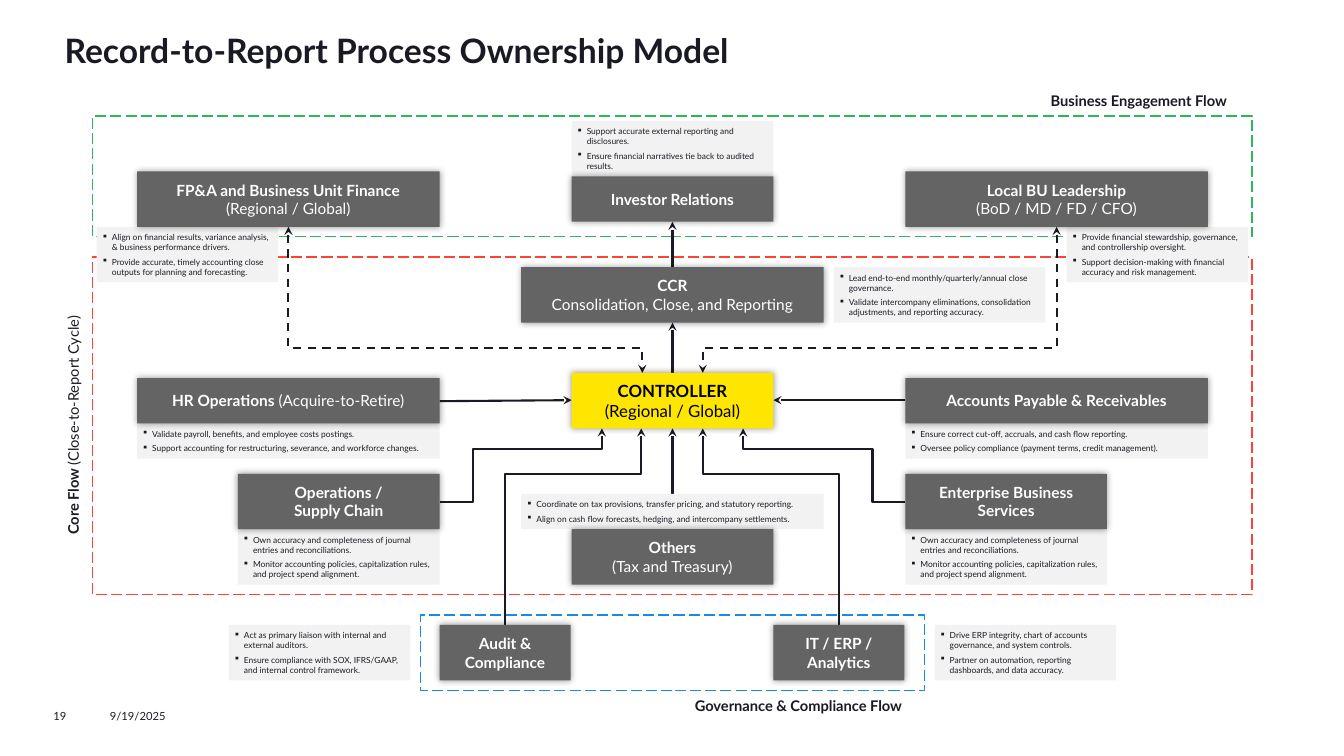
"""Build the record-to-report process ownership slide."""
from math import cos, radians, sin

from lxml.etree import SubElement
from pptx import Presentation
from pptx.dml.color import RGBColor
from pptx.enum.dml import MSO_LINE
from pptx.enum.shapes import MSO_CONNECTOR, MSO_SHAPE
from pptx.enum.text import MSO_ANCHOR, PP_ALIGN
from pptx.oxml.ns import qn
from pptx.util import Inches, Pt

FONT = "Lato"
COLORS = {
    "ink": "1A1A24", "black": "000000", "white": "FFFFFF", "role": "646464",
    "hub": "FFE600", "note": "F2F2F2", "core": "FF4136", "business": "2DB757",
    "governance": "188CE5",
}
LEFT, RIGHT, CENTER = 1.36, 8.98, 5.67
AXIS = 6.67

FRAMES = [
    ("core", (0.92, 2.55, 11.5, 3.35)),
    ("business", (0.92, 1.15, 11.5, 1.2)),
    ("governance", (4.17, 6.1, 5, 0.75)),
]
STRAIGHT_ARROWS = [
    ((AXIS, 2.65), (AXIS, 2.2)),
    ((AXIS, 3.7), (AXIS, 3.2)),
    ((AXIS, 5.25), (AXIS, 4.25)),
    ((RIGHT, 3.97), (7.67, 3.97)),
    ((4.36, 3.98), (CENTER, 3.97)),
]
TWO_WAY_ARROWS = [
    ((2.86, 2.25), (6.37, 3.7), 270, [0.828]),
    ((10.48, 2.25), (6.97, 3.7), 90, [0.828]),
]
BENT_ARROWS = [
    ((4.36, 4.98), (5.97, 4.25), 0, [0.204, 0.719]),
    ((RIGHT, 4.98), (7.37, 4.25), 180, [0.203, 0.719]),
    ((8.32, 6.2), (6.97, 4.25), 270, [0.769]),
    ((5.01, 6.2), (6.36, 4.25), 90, [0.769]),
]
JOURNAL_DUTIES = [
    "Own accuracy and completeness of journal entries and reconciliations.",
    "Monitor accounting policies, capitalization rules, and project spend alignment.",
]
NOTES = [
    ((CENTER, 1.2, 2, 0.55), [
        "Support accurate external reporting and disclosures.",
        "Ensure financial narratives tie back to audited results."]),
    ((10.58, 2.25, 1.8, 0.55), [
        "Provide financial stewardship, governance, and controllership oversight.",
        "Support decision-making with financial accuracy and risk management."]),
    ((0.96, 2.25, 1.8, 0.55), [
        "Align on financial results, variance analysis, & business performance drivers.",
        "Provide accurate, timely accounting close outputs for planning and forecasting."]),
    ((LEFT, 4.2, 3, 0.35), [
        "Validate payroll, benefits, and employee costs postings.",
        "Support accounting for restructuring, severance, and workforce changes."]),
    ((RIGHT, 4.2, 3, 0.35), [
        "Ensure correct cut-off, accruals, and cash flow reporting.",
        "Oversee policy compliance (payment terms, credit management)."]),
    ((RIGHT, 5.25, 2, 0.55), JOURNAL_DUTIES),
    ((LEFT + 1, 5.25, 2, 0.55), JOURNAL_DUTIES),
    ((2.27, 6.2, 1.8, 0.55), [
        "Act as primary liaison with internal and external auditors.",
        "Ensure compliance with SOX, IFRS/GAAP, and internal control framework."]),
    ((9.27, 6.2, 1.8, 0.55), [
        "Drive ERP integrity, chart of accounts governance, and system controls.",
        "Partner on automation, reporting dashboards, and data accuracy."]),
    ((8.27, 2.65, 2.1, 0.55), [
        "Lead end-to-end monthly/quarterly/annual close governance.",
        "Validate intercompany eliminations, consolidation adjustments, and reporting accuracy."]),
    ((5.17, 4.9, 3, 0.35), [
        "Coordinate on tax provisions, transfer pricing, and statutory reporting.",
        "Align on cash flow forecasts, hedging, and intercompany settlements."]),
]
ROLES = [
    ((RIGHT, 3.75, 3, 0.45), [[("Accounts Payable & Receivables", True)]]),
    ((LEFT, 3.75, 3, 0.45), [[("HR Operations ", True), ("(Acquire-to-Retire)", False)]]),
    ((CENTER, 5.25, 2, 0.55), [[("Others", True)], [("(Tax and Treasury)", False)]]),
    ((RIGHT, 4.7, 2, 0.55), [[("Enterprise Business Services", True)]]),
    ((LEFT + 1, 4.7, 2, 0.55), [[("Operations /", True)], [("Supply Chain", True)]]),
    ((CENTER, 1.75, 2, 0.45), [[("Investor Relations", True)]]),
    ((LEFT, 1.7, 3, 0.55), [[("FP&A and Business Unit Finance", True)],
                            [("(Regional / Global)", False)]]),
    ((RIGHT, 1.7, 3, 0.55), [[("Local BU Leadership", True)],
                             [("(BoD / MD / FD / CFO)", False)]]),
    ((5.17, 2.65, 3, 0.55), [[("CCR", True)],
                             [("Consolidation, Close, and Reporting", False)]]),
    ((4.36, 6.2, 1.3, 0.55), [[("Audit & Compliance", True)]]),
    ((7.67, 6.2, 1.3, 0.55), [[("IT / ERP / Analytics", True)]]),
]
CONTROLLER = [[("CONTROLLER", True)], [("(Regional / Global)", False)]]
FLOW_LABELS = [
    ((-0.95, 4.02, 3.35, 0.4), 270,
     [("Core Flow ", True), ("(Close-to-Report Cycle)", False)]),
    ((10.17, 0.85, 2.25, 0.3), 0, [("Business Engagement Flow", True)]),
    ((AXIS, 6.85, 2.5, 0.3), 0, [("Governance & Compliance Flow", True)]),
]


def rgb(color):
    """Look up a named colour."""
    return RGBColor.from_string(COLORS[color])


def place(box):
    """Turn a box in inches into lengths."""
    return [Inches(length) for length in box]


def set_insets(frame, left, top, right, bottom):
    """Set the text margins in inches."""
    frame.margin_left, frame.margin_top = Inches(left), Inches(top)
    frame.margin_right, frame.margin_bottom = Inches(right), Inches(bottom)


def write_line(paragraph, runs, size, color, align):
    """Fill a paragraph with (text, bold) runs."""
    paragraph.alignment = align
    for words, bold in runs:
        run = paragraph.add_run()
        run.text = words
        run.font.name, run.font.size, run.font.bold = FONT, Pt(size), bold
        run.font.color.rgb = rgb(color)


def write_lines(frame, lines, size, color, align=PP_ALIGN.CENTER, anchor=MSO_ANCHOR.MIDDLE):
    """Write one paragraph per line and return the paragraphs."""
    frame.word_wrap = True
    frame.vertical_anchor = anchor
    for index, runs in enumerate(lines):
        paragraph = frame.add_paragraph() if index else frame.paragraphs[0]
        write_line(paragraph, runs, size, color, align)
    return frame.paragraphs


def add_panel(slide, box, fill=None, outline=None):
    """Add a rectangle, either filled or with a dashed outline."""
    panel = slide.shapes.add_shape(MSO_SHAPE.RECTANGLE, *place(box))
    panel.shadow.inherit = False
    if fill:
        panel.fill.solid()
        panel.fill.fore_color.rgb = rgb(fill)
        panel.line.fill.background()
    else:
        panel.fill.background()
        panel.line.color.rgb = rgb(outline)
        panel.line.width = Pt(1)
        panel.line.dash_style = MSO_LINE.LONG_DASH
    return panel


def add_role(slide, box, lines, fill="role", color="white", size=11):
    """Add a role box with a soft glow of shadow."""
    role = add_panel(slide, box, fill)
    effects = role._element.spPr.find(qn("a:effectLst"))
    shadow = SubElement(effects, qn("a:outerShdw"), blurRad=str(Pt(5)), dist="0",
                        algn="ctr", rotWithShape="0")
    shade = SubElement(shadow, qn("a:srgbClr"), val=COLORS["black"])
    SubElement(shade, qn("a:alpha"), val="40000")
    write_lines(role.text_frame, lines, size, color)


def add_note(slide, box, duties):
    """Add a pale panel of bulleted duties."""
    frame = add_panel(slide, box, "note").text_frame
    set_insets(frame, 0.05, 0.05, 0.05, 0.05)
    lines = [[(duty, False)] for duty in duties]
    for index, paragraph in enumerate(write_lines(frame, lines, 6, "ink", PP_ALIGN.LEFT)):
        properties = paragraph._p.get_or_add_pPr()
        properties.set("marL", str(Inches(0.1)))
        properties.set("indent", str(-Inches(0.1)))
        SubElement(properties, qn("a:buChar"), char="▪")
        if index:
            paragraph.space_before = Pt(3)


def add_label(slide, box, runs, size, turn=0, inset=0.05, align=PP_ALIGN.CENTER,
              anchor=MSO_ANCHOR.MIDDLE):
    """Add a free line of text."""
    label = slide.shapes.add_textbox(*place(box))
    label.rotation = turn
    set_insets(label.text_frame, inset, inset, inset, inset)
    write_lines(label.text_frame, [runs], size, "ink", align, anchor)


def add_arrow(slide, start, end, turn=0, bends=(), two_way=False):
    """Add an arrow; bends are elbow ratios in a frame turned by turn degrees."""
    mid_x, mid_y = (start[0] + end[0]) / 2, (start[1] + end[1]) / 2
    c, s = cos(radians(turn)), sin(radians(turn))
    ends = []
    for x, y in (start, end):
        dx, dy = x - mid_x, y - mid_y
        ends += [mid_x + dx * c + dy * s, mid_y - dx * s + dy * c]
    kind = MSO_CONNECTOR.ELBOW if bends else MSO_CONNECTOR.STRAIGHT
    arrow = slide.shapes.add_connector(kind, *place(ends))
    arrow.line.color.rgb = rgb("ink")
    arrow.line.width = Pt(1.5)
    properties = arrow._element.spPr
    if turn:
        properties.find(qn("a:xfrm")).set("rot", str(turn * 60000))
    if bends:
        geometry = properties.find(qn("a:prstGeom"))
        geometry.set("prst", f"bentConnector{len(bends) + 2}")
        guides = geometry.find(qn("a:avLst"))
        for index, ratio in enumerate(bends, 1):
            SubElement(guides, qn("a:gd"), name=f"adj{index}" if len(bends) > 1 else "adj1",
                       fmla=f"val {round(ratio * 100000)}")
    line = properties.find(qn("a:ln"))
    if two_way:
        arrow.line.dash_style = MSO_LINE.DASH
        SubElement(line, qn("a:headEnd"), type="stealth")
    SubElement(line, qn("a:tailEnd"), type="stealth")
    SubElement(properties, qn("a:effectLst"))


def add_title(slide, words):
    """Place and format the slide title."""
    title = slide.shapes.title
    title.left, title.top, title.width, title.height = place((0.54, 0.25, 12.25, 0.6))
    set_insets(title.text_frame, 0.1, 0.05, 0.1, 0)
    write_lines(title.text_frame, [[(words, True)]], 24, "ink", PP_ALIGN.LEFT, MSO_ANCHOR.TOP)


def main():
    """Build and save the slide."""
    deck = Presentation()
    deck.slide_width, deck.slide_height = Inches(13.33), Inches(7.5)
    slide = deck.slides.add_slide(deck.slide_layouts[5])
    add_title(slide, "Record-to-Report Process Ownership Model")
    for outline, box in FRAMES:
        add_panel(slide, box, outline=outline)
    for start, end in STRAIGHT_ARROWS:
        add_arrow(slide, start, end)
    for arrow in TWO_WAY_ARROWS:
        add_arrow(slide, *arrow, two_way=True)
    for arrow in BENT_ARROWS:
        add_arrow(slide, *arrow)
    for box, duties in NOTES:
        add_note(slide, box, duties)
    for box, lines in ROLES:
        add_role(slide, box, lines)
    add_role(slide, (CENTER, 3.7, 2, 0.55), CONTROLLER, "hub", "black", 12)
    for box, turn, runs in FLOW_LABELS:
        add_label(slide, box, runs, 10.5, turn)
    for left, width, words in ((0.53, 0.56, "19"), (1.09, 1.4, "9/19/2025")):
        add_label(slide, (left, 7.04, width, 0.13), [(words, False)], 8, inset=0,
                  align=PP_ALIGN.LEFT, anchor=MSO_ANCHOR.TOP)
    deck.save("out.pptx")


if __name__ == "__main__":
    main()
